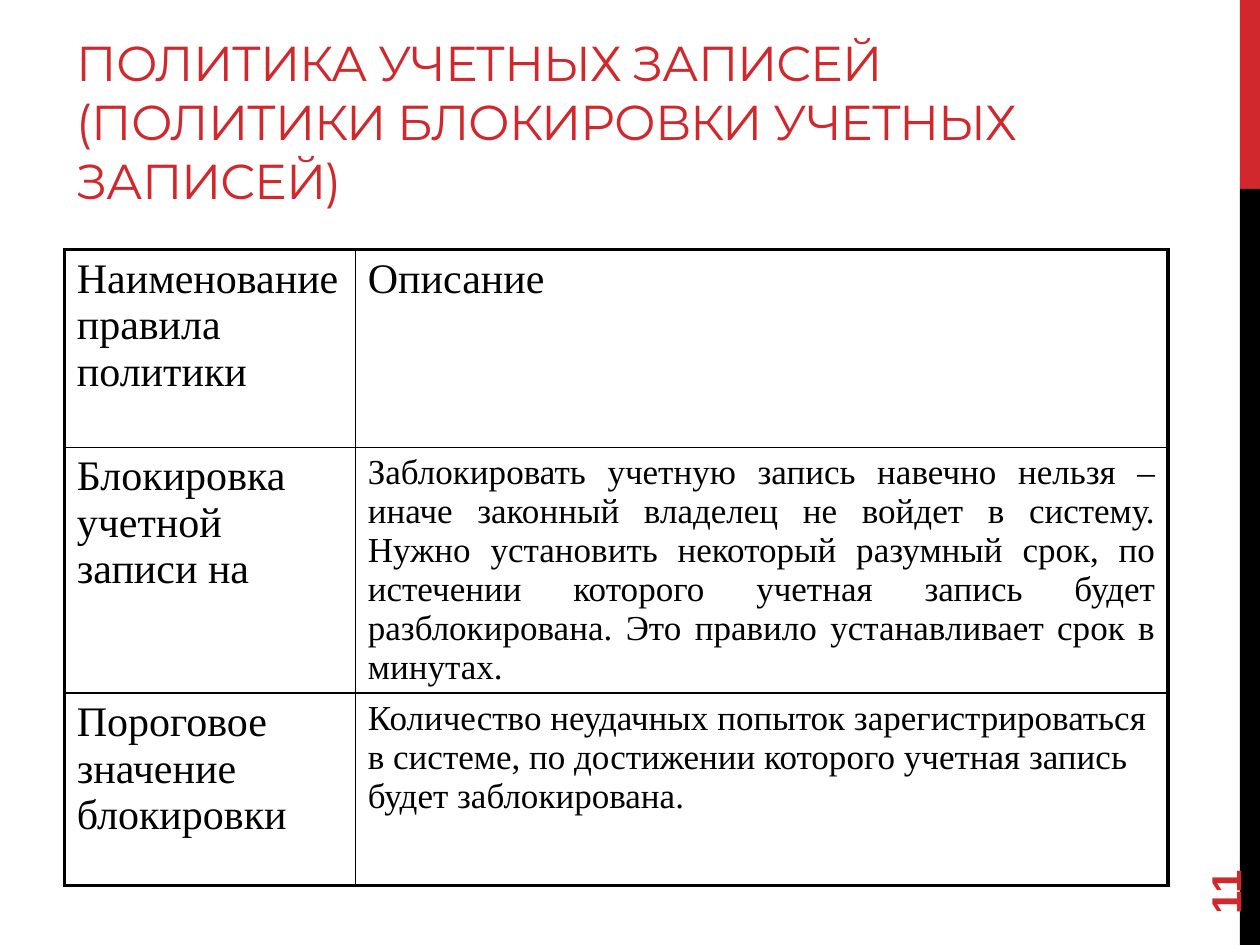
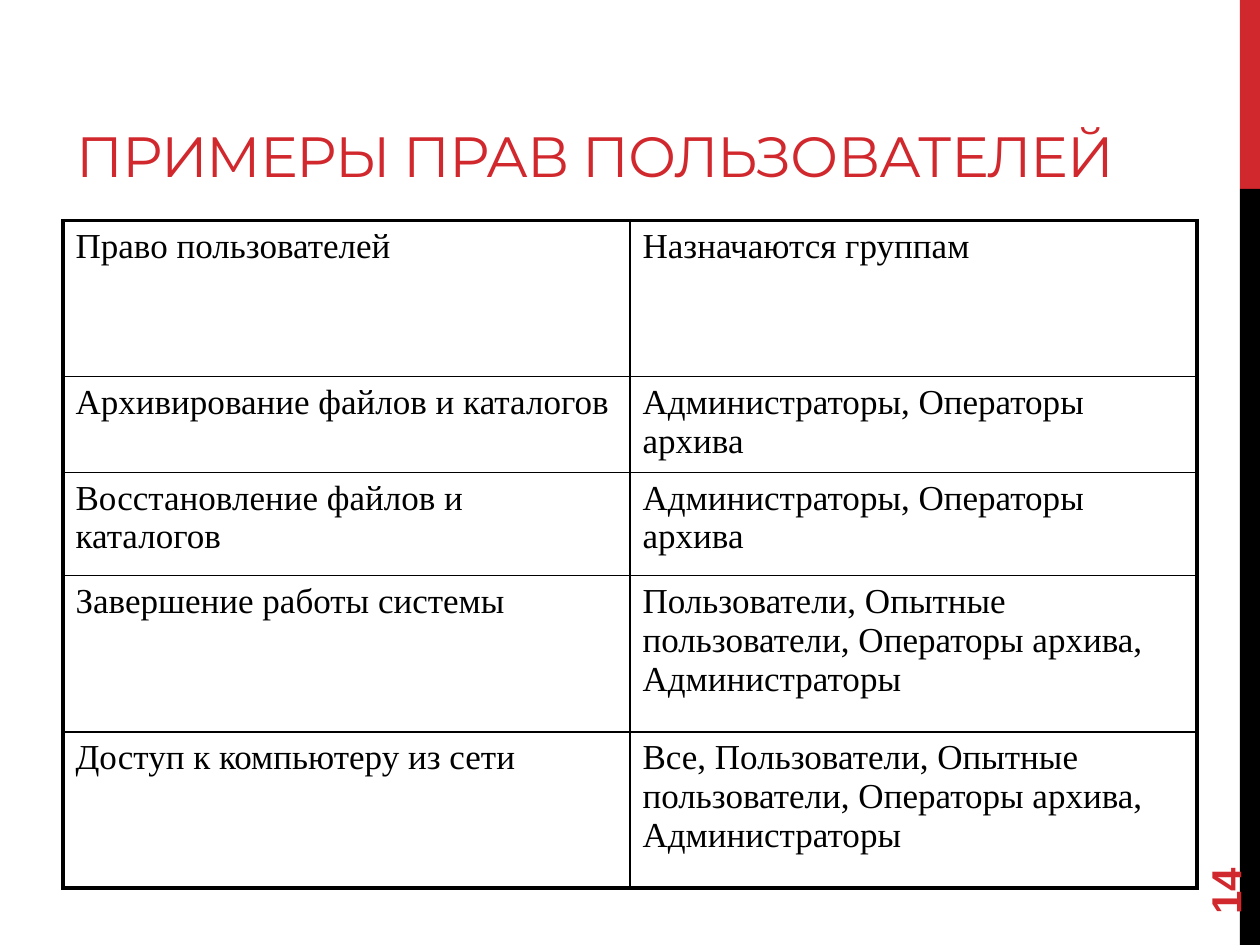
from lxml import etree
from pptx import Presentation
from pptx.dml.color import RGBColor
from pptx.enum.shapes import MSO_SHAPE
from pptx.enum.text import MSO_ANCHOR, MSO_AUTO_SIZE, PP_ALIGN
from pptx.oxml import parse_xml
from pptx.oxml.ns import nsdecls
from pptx.util import Inches, Pt

RECT = MSO_SHAPE.RECTANGLE
BOTTOM, MIDDLE = MSO_ANCHOR.BOTTOM, MSO_ANCHOR.MIDDLE
FIXED = MSO_AUTO_SIZE.NONE
LEFT, JUSTIFY = PP_ALIGN.LEFT, PP_ALIGN.JUSTIFY

INK = {"red": "D1282E", "black": "000000"}
COLS, ROWS = 10, 7.5
UNIT = Inches(1)
THICK, THIN = Pt(2.25), Pt(1)

PAGES = [
    {
        "title": "ПОЛИТИКА УЧЕТНЫХ ЗАПИСЕЙ\v(ПОЛИТИКИ БЛОКИРОВКИ УЧЕТНЫХ ЗАПИСЕЙ)",
        "top": 0.44, "size": 28, "number": "11",
        "origin": (0.51, 1.98), "widths": (2.31, 6.45),
        "heights": (1.57, 1.95, 1.53),
        "head": (24, 24), "body": (24, 20), "justified": [(1, 1)],
        "cells": [
            ("Наименование правила политики", "Описание"),
            ("Блокировка учетной записи на",
             "Заблокировать учетную запись навечно нельзя – иначе законный "
             "владелец не войдет в систему. Нужно установить некоторый разумный "
             "срок, по истечении которого учетная запись будет разблокирована. "
             "Это правило устанавливает срок в минутах."),
            ("Пороговое значение блокировки",
             "Количество неудачных попыток зарегистрироваться в системе, по "
             "достижении которого учетная запись будет заблокирована."),
        ],
    },
    {
        "title": "ПРИМЕРЫ ПРАВ ПОЛЬЗОВАТЕЛЕЙ",
        "top": 0.28, "size": 32.4, "number": "14",
        "origin": (0.5, 1.75), "widths": (4.5, 4.5),
        "heights": (1.24, 0.76, 0.82, 1.24, 1.24),
        "head": (20, 20), "body": (20, 20), "justified": [],
        "cells": [
            ("Право пользователей", "Назначаются группам"),
            ("Архивирование файлов и каталогов", "Администраторы, Операторы архива"),
            ("Восстановление файлов и каталогов", "Администраторы, Операторы архива"),
            ("Завершение работы системы",
             "Пользователи, Опытные пользователи, Операторы архива, Администраторы"),
            ("Доступ к компьютеру из сети",
             "Все, Пользователи, Опытные пользователи, Операторы архива, Администраторы"),
        ],
    },
]


def grid(*spans):
    return [round(span * UNIT) for span in spans]


def style(frame, face, size, ink, bold=False):
    for run in frame.paragraphs[0].runs:
        run.font.name = face
        run.font.size = Pt(size)
        run.font.bold = bold
        run.font.color.rgb = RGBColor.from_string(INK[ink])


deck = Presentation()
deck.slide_width, deck.slide_height = grid(COLS, ROWS)
layout = deck.slide_layouts[5]
slides = [deck.slides.add_slide(layout) for page in PAGES]

for ink, top, height in (("red", 0, ROWS / 5), ("black", ROWS / 5, ROWS * 0.8)):
    band = slides[0].shapes.add_shape(RECT, *grid(9.84, top, 0.16, height))
    band.shadow.inherit = False
    band.fill.solid()
    band.fill.fore_color.rgb = RGBColor.from_string(INK[ink])
    band.line.fill.background()
    deck.slide_master.shapes.element.append(band.element)

for slide, page in zip(slides, PAGES):
    title = slide.shapes.title
    title.left, title.top, title.width, title.height = grid(0.51, page["top"], 9, 1.27)
    frame = title.text_frame
    frame.text = page["title"]
    frame.auto_size = FIXED
    frame.word_wrap = True
    frame.vertical_anchor = BOTTOM
    frame.paragraphs[0].alignment = LEFT
    style(frame, "Montserrat", page["size"], "red")
    for run in frame.paragraphs[0].runs:
        run.font._element.set("spc", "-60")

    widths, heights = page["widths"], page["heights"]
    last, end = len(heights) - 1, len(widths) - 1
    table = slide.shapes.add_table(
        len(heights), len(widths),
        *grid(*page["origin"], sum(widths), sum(heights))).table
    table.first_row = table.horz_banding = False
    for column, width in zip(table.columns, grid(*widths)):
        column.width = width
    for row, height in zip(table.rows, grid(*heights)):
        row.height = height

    for r, texts in enumerate(page["cells"]):
        sizes = page["body"] if r else page["head"]
        for c, text in enumerate(texts):
            cell = table.cell(r, c)
            cell.text_frame.text = text
            style(cell.text_frame, "Times New Roman", sizes[c], "black")
            if (r, c) in page["justified"]:
                cell.text_frame.paragraphs[0].alignment = JUSTIFY
            cell.fill.background()
            props = cell._tc.get_or_add_tcPr()
            edges = (("lnL", c == 0), ("lnR", c == end),
                     ("lnT", r == 0), ("lnB", r == last))
            for spot, (side, outer) in enumerate(edges):
                edge = parse_xml(f'<a:{side} {nsdecls("a")}><a:solidFill/></a:{side}>')
                edge.set("w", str(THICK if outer else THIN))
                shade = etree.SubElement(edge[0], edge[0].tag.replace("solidFill", "srgbClr"))
                shade.set("val", INK["black"])
                props.insert(spot, edge)

    label = slide.shapes.add_textbox(*grid(9, 6.44, 1.44, 0.4))
    label.rotation = 270
    label.text_frame.text = page["number"]
    label.text_frame.word_wrap = True
    label.text_frame.vertical_anchor = MIDDLE
    style(label.text_frame, "Arial", 24, "red", True)

deck.save("out.pptx")
